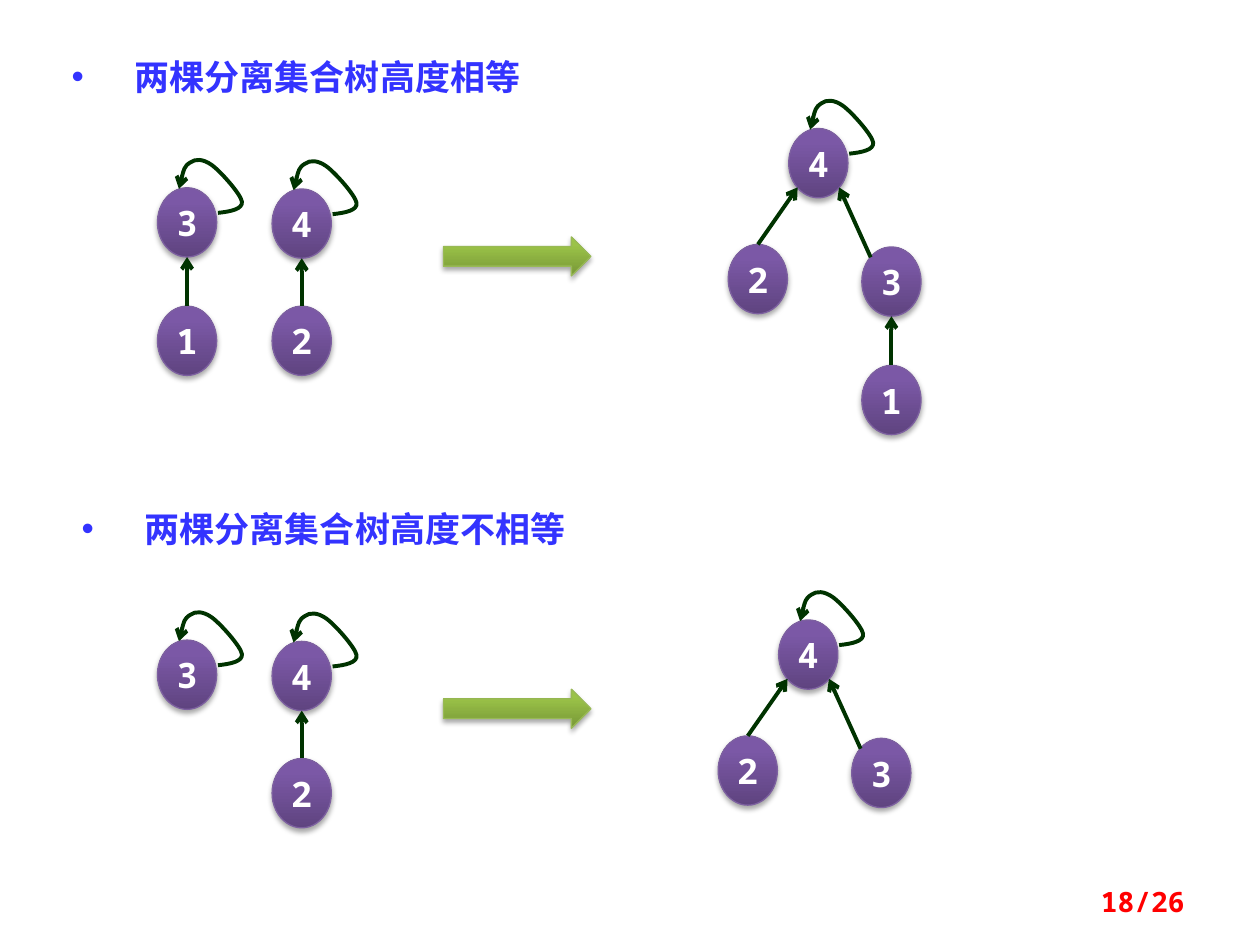
"""Build a slide showing the union of two disjoint-set trees."""
from copy import deepcopy
from dataclasses import dataclass

from pptx import Presentation
from pptx import util as u
from pptx.dml.color import RGBColor
from pptx.enum import shapes, text
from pptx.oxml import parse_xml
from pptx.oxml.ns import nsdecls, qn

MONO, CJK = "Noto Sans Mono", "Noto Sans CJK SC"
WHITE, BLUE, RED, GREEN = "FFFFFF", "3333FF", "FF0000", "003300"
PURPLES = ("5F4480", "7B58A6", "7C57A8")
LIMES = ("779737", "9BC348", "9DC746")
NODE_W, NODE_H = 0.47, 0.55
SITES = {"top": (0.5, 0), "top left": (0.15, 0.15), "bottom": (0.5, 1),
         "bottom left": (0.15, 0.85), "bottom right": (0.85, 0.85)}
LOOP = ((0.48, 0.2), (0.58, 0.19), (0.68, 0.17), (0.67, 0.11), (0.66, 0.05),
        (0.5, -0.13), (0.43, -0.18), (0.36, -0.23), (0.3, -0.23),
        (0.26, -0.2), (0.21, -0.17), (0.19, -0.08), (0.17, 0.01))


@dataclass(frozen=True)
class Node:
    label: str
    x: float
    y: float
    is_root: bool = False


@dataclass(frozen=True)
class Edge:
    child: Node
    parent: Node
    start: str = "top"
    end: str = "bottom"


@dataclass(frozen=True)
class Case:
    title: str
    title_x: float
    title_y: float
    arrow_y: float
    nodes: tuple[Node, ...]
    edges: tuple[Edge, ...]


def color(value: str) -> RGBColor:
    return RGBColor.from_string(value)


def style_run(r, name: str, size: float, value: str) -> None:
    r.font.name, r.font.size, r.font.bold = name, u.Pt(size), True
    r.font.color.rgb = color(value)
    ea = parse_xml(f'<a:ea {nsdecls("a")} typeface="{name}"/>')
    r.font._element.append(ea)


def style_solid(sp, stops: tuple[str, ...], outline: str) -> None:
    sp.shadow.inherit = False
    sp.fill.gradient()
    sp.fill.gradient_angle = 90
    stop_list = sp._element.spPr.find(qn("a:gradFill")).find(qn("a:gsLst"))
    stop_list.append(deepcopy(stop_list[-1]))
    for stop, position, value in zip(sp.fill.gradient_stops, (0, 0.8, 1), stops):
        stop.position = position
        stop.color.rgb = color(value)
    sp.line.color.rgb = color(outline)
    sp.line.width = u.Pt(0.75)
    sp._element.spPr.find(qn("a:effectLst")).append(parse_xml(
        f'<a:outerShdw {nsdecls("a")} blurRad="{u.Pt(3.1)}" dist="{u.Pt(1.8)}" '
        'dir="5400000" rotWithShape="0"><a:srgbClr val="000000">'
        '<a:alpha val="35000"/></a:srgbClr></a:outerShdw>'))


def style_arrow(sp) -> None:
    sp.line.color.rgb = color(GREEN)
    sp.line.width = u.Pt(2.25)
    spPr = sp._element.spPr
    spPr.find(qn("a:ln")).append(
        parse_xml(f'<a:tailEnd {nsdecls("a")} type="arrow"/>'))
    if spPr.find(qn("a:effectLst")) is None:
        spPr.append(parse_xml(f'<a:effectLst {nsdecls("a")}/>'))


def add_loop(s, node: Node) -> None:
    points = [(u.Inches(node.x + dx), u.Inches(node.y + dy)) for dx, dy in LOOP]
    builder = s.shapes.build_freeform(*points[0])
    builder.add_line_segments(points[1:], close=False)
    sp = builder.convert_to_shape()
    sp.shadow.inherit = False
    sp.fill.background()
    style_arrow(sp)
    segments = list(sp._element.iter(qn("a:lnTo")))
    for i in range(0, len(segments), 3):
        curve = parse_xml(f'<a:cubicBezTo {nsdecls("a")}/>')
        segments[i].addprevious(curve)
        for segment in segments[i:i + 3]:
            curve.append(segment[0])
            segment.getparent().remove(segment)


def add_node(s, node: Node) -> None:
    sp = s.shapes.add_shape(
        shapes.MSO_SHAPE.OVAL, u.Inches(node.x), u.Inches(node.y),
        u.Inches(NODE_W), u.Inches(NODE_H))
    style_solid(sp, PURPLES, "7D60A0")
    tf = sp.text_frame
    tf.margin_left = tf.margin_right = 0
    tf.vertical_anchor = text.MSO_ANCHOR.MIDDLE
    tf.text = node.label
    p = tf.paragraphs[0]
    p.alignment = text.PP_ALIGN.CENTER
    style_run(p.runs[0], MONO, 20, WHITE)
    if node.is_root:
        add_loop(s, node)


def site(node: Node, name: str) -> tuple[u.Length, u.Length]:
    fx, fy = SITES[name]
    return u.Inches(node.x + fx * NODE_W), u.Inches(node.y + fy * NODE_H)


def add_edge(s, edge: Edge) -> None:
    style_arrow(s.shapes.add_connector(
        shapes.MSO_CONNECTOR.STRAIGHT,
        *site(edge.child, edge.start), *site(edge.parent, edge.end)))


def add_text(s, value: str, x: float, y: float, w: float, h: float):
    tf = s.shapes.add_textbox(
        u.Inches(x), u.Inches(y), u.Inches(w), u.Inches(h)).text_frame
    tf.word_wrap = True
    tf.text = value
    return tf


def add_title(s, case: Case) -> None:
    tf = add_text(s, case.title, case.title_x, case.title_y, 4.22, 0.44)
    tf.auto_size = text.MSO_AUTO_SIZE.SHAPE_TO_FIT_TEXT
    p = tf.paragraphs[0]
    pPr = p._p.get_or_add_pPr()
    pPr.set("marL", str(u.Inches(0.5)))
    pPr.set("indent", str(u.Inches(-0.5)))
    pPr.append(parse_xml(f'<a:buFont {nsdecls("a")} typeface="Arial"/>'))
    pPr.append(parse_xml(f'<a:buChar {nsdecls("a")} char="•"/>'))
    style_run(p.runs[0], CJK, 20, BLUE)


def add_case(s, case: Case) -> None:
    add_title(s, case)
    for node in case.nodes:
        add_node(s, node)
    for edge in case.edges:
        add_edge(s, edge)
    sp = s.shapes.add_shape(
        shapes.MSO_SHAPE.RIGHT_ARROW, u.Inches(3.52), u.Inches(case.arrow_y),
        u.Inches(1.17), u.Inches(0.31))
    style_solid(sp, LIMES, "98B955")


def make_case(title: str, title_x: float, title_y: float, top: float,
              merged_x: float, merged_y: float, equal: bool) -> Case:
    three, four = Node("3", 1.25, top, True), Node("4", 2.16, top + 0.01, True)
    two = Node("2", 2.16, top + 0.94)
    root = Node("4", merged_x, merged_y, True)
    left = Node("2", merged_x - 0.48, merged_y + 0.92)
    right = Node("3", merged_x + 0.58, merged_y + 0.94)
    nodes = (three, four, two, root, left, right)
    edges = (Edge(two, four), Edge(left, root, end="bottom left"),
             Edge(right, root, "top left", "bottom right"))
    if equal:
        one, leaf = Node("1", 1.25, top + 0.94), Node("1", right.x, right.y + 0.94)
        nodes += (one, leaf)
        edges += (Edge(one, three), Edge(leaf, right))
    return Case(title, title_x, title_y, top + 0.39, nodes, edges)


def main() -> None:
    prs = Presentation()
    prs.slide_width, prs.slide_height = u.Inches(10), u.Inches(7.5)
    s = prs.slides.add_slide(prs.slide_layouts[6])
    add_case(s, make_case("两棵分离集合树高度相等", 0.47, 0.39, 1.49, 6.26, 1.02, True))
    add_case(s, make_case("两棵分离集合树高度不相等", 0.55, 3.98, 5.08, 6.18, 4.92, False))
    tf = add_text(s, "18/26", 7.17, 6.95, 2.33, 0.4)
    tf.vertical_anchor = text.MSO_ANCHOR.MIDDLE
    tf.paragraphs[0].alignment = text.PP_ALIGN.RIGHT
    style_run(tf.paragraphs[0].runs[0], MONO, 16, RED)
    prs.save("out.pptx")


if __name__ == "__main__":
    main()
